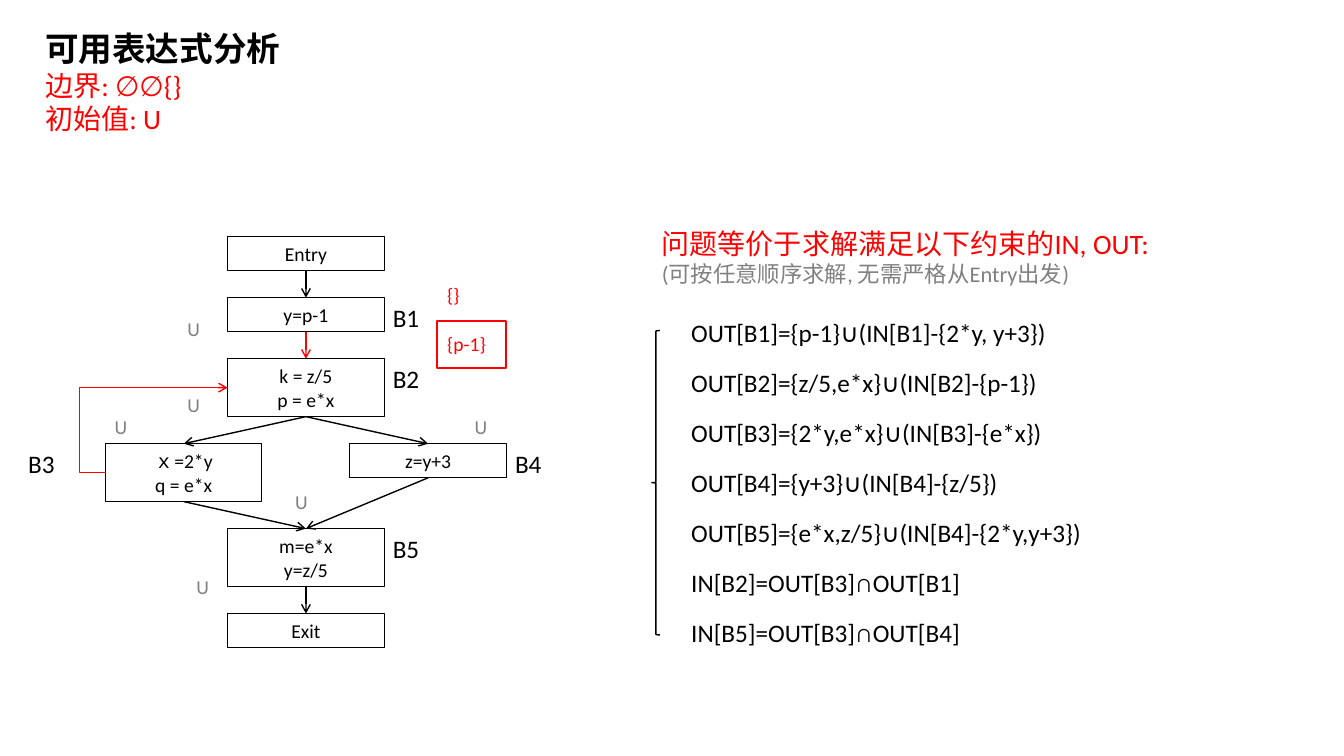
from dataclasses import dataclass

from lxml import etree
from pptx import Presentation
from pptx.dml.color import RGBColor
from pptx.enum.shapes import MSO_CONNECTOR, MSO_SHAPE
from pptx.enum.text import MSO_ANCHOR, MSO_AUTO_SIZE, PP_ALIGN
from pptx.oxml.ns import qn
from pptx.shapes.autoshape import Shape
from pptx.slide import Slide
from pptx.util import Cm, Pt

RECT, BRACE = MSO_SHAPE.RECTANGLE, MSO_SHAPE.LEFT_BRACE
STRAIGHT, ELBOW = MSO_CONNECTOR.STRAIGHT, MSO_CONNECTOR.ELBOW
LEFT, CENTER = PP_ALIGN.LEFT, PP_ALIGN.CENTER
MIDDLE, GROW = MSO_ANCHOR.MIDDLE, MSO_AUTO_SIZE.SHAPE_TO_FIT_TEXT
TOP_SIDE, LEFT_SIDE, LOW_SIDE = 0, 1, 2


@dataclass(frozen=True)
class Theme:
    font: str = "Calibri"
    black: RGBColor = RGBColor(0, 0, 0)
    red: RGBColor = RGBColor(255, 0, 0)
    gray: RGBColor = RGBColor(128, 128, 128)
    title: int = 24
    head: int = 20
    body: int = 18
    hint: int = 16
    code: int = 14


@dataclass(frozen=True)
class Block:
    name: str
    text: str
    row: int
    shift: int = 0  # -1 left branch, 0 trunk, 1 right branch
    label: str = ""


@dataclass(frozen=True)
class Edge:
    start: str
    end: str
    color: RGBColor


@dataclass(frozen=True)
class Note:
    text: str
    x: float
    y: float
    color: RGBColor
    width: float = 1.04


THEME = Theme()
TRUNK, BRANCH, WIDTH = 5.74, 3.08, 3.94
LOW, TALL, GAP, FIRST = 0.86, 1.46, 0.68, 5.96
ROWS = [LOW, LOW, TALL, TALL, TALL, LOW]

BLOCKS = [
    Block("Entry", "Entry", 0),
    Block("B1", "y=p-1", 1, label="B1"),
    Block("B2", "k = z/5\np = e*x", 2, label="B2"),
    Block("B3", "ｘ=2*y\nq = e*x", 3, -1, "B3"),
    Block("B4", "z=y+3", 3, 1, "B4"),
    Block("B5", "m=e*x\ny=z/5", 4, label="B5"),
    Block("Exit", "Exit", 5),
]
EDGES = [
    Edge("Entry", "B1", THEME.black),
    Edge("B1", "B2", THEME.red),
    Edge("B2", "B3", THEME.black),
    Edge("B2", "B4", THEME.black),
    Edge("B3", "B5", THEME.black),
    Edge("B4", "B5", THEME.black),
    Edge("B5", "Exit", THEME.black),
]
NOTES = [
    Note("{}", 11.02, 7.01, THEME.red),
    Note("{p-1}", 11.02, 8.23, THEME.red, 1.65),
    Note("U", 4.47, 7.87, THEME.gray),
    Note("U", 4.47, 9.78, THEME.gray),
    Note("U", 2.64, 10.34, THEME.gray),
    Note("U", 11.71, 10.34, THEME.gray),
    Note("U", 7.19, 12.22, THEME.gray),
    Note("U", 4.7, 14.35, THEME.gray),
]
RULES = [
    "OUT[B1]={p-1}∪(IN[B1]-{2*y, y+3})",
    "OUT[B2]={z/5,e*x}∪(IN[B2]-{p-1})",
    "OUT[B3]={2*y,e*x}∪(IN[B3]-{e*x})",
    "OUT[B4]={y+3}∪(IN[B4]-{z/5})",
    "OUT[B5]={e*x,z/5}∪(IN[B4]-{2*y,y+3})",
    "IN[B2]=OUT[B3]∩OUT[B1]",
    "IN[B5]=OUT[B3]∩OUT[B4]",
]


def write(shape: Shape, text: str, *, size: int, color: RGBColor,
          bold: bool = False, align: PP_ALIGN = LEFT, more: bool = False) -> None:
    """Write one paragraph per line; more=True adds below existing text."""
    frame = shape.text_frame
    frame.word_wrap = True
    frame.auto_size = GROW
    for i, line in enumerate(text.split("\n")):
        para = frame.add_paragraph() if more or i else frame.paragraphs[0]
        para.alignment = align
        run = para.add_run()
        run.text = line
        font = run.font
        font.name, font.size, font.bold = THEME.font, Pt(size), bold
        font.color.rgb = color


def add_text(slide: Slide, x: float, y: float, w: float, h: float) -> Shape:
    return slide.shapes.add_textbox(Cm(x), Cm(y), Cm(w), Cm(h))


def add_form(slide: Slide, kind: MSO_SHAPE, x: float, y: float, w: float,
             h: float, color: RGBColor, weight: float) -> Shape:
    form = slide.shapes.add_shape(kind, Cm(x), Cm(y), Cm(w), Cm(h))
    form.shadow.inherit = False
    form.fill.background()
    form.line.color.rgb = color
    form.line.width = Pt(weight)
    return form


def add_block(slide: Slide, block: Block) -> Shape:
    x = TRUNK + block.shift * BRANCH
    y = FIRST + sum(ROWS[:block.row]) + GAP * block.row
    high = TALL if "\n" in block.text else LOW
    box = add_form(slide, RECT, x, y, WIDTH, high, THEME.black, 0.75)
    box.text_frame.vertical_anchor = MIDDLE
    write(box, block.text, size=THEME.code, color=THEME.black, align=CENTER)
    if block.label:
        side = x - 2.2 if block.shift < 0 else x + WIDTH - 0.03
        tag = add_text(slide, side, y, 1.47, 1.02)
        write(tag, block.label, size=THEME.body, color=THEME.black)
    return box


def add_arrow(slide: Slide, start: Shape, end: Shape, color: RGBColor,
              loop: bool = False) -> None:
    """Join low side to top side, or left side to left side for a loop."""
    link = slide.shapes.add_connector(ELBOW if loop else STRAIGHT, 0, 0, 0, 0)
    link.begin_connect(start, LEFT_SIDE if loop else LOW_SIDE)
    link.end_connect(end, LEFT_SIDE if loop else TOP_SIDE)
    link.line.color.rgb = color
    link.line.width = Pt(1)
    props = link._element.spPr
    if loop:
        bends = props.find(qn("a:prstGeom")).get_or_add_avLst()
        etree.SubElement(bends, qn("a:gd"), name="adj1", fmla="val -21400")
    etree.SubElement(props.find(qn("a:ln")), qn("a:tailEnd"), type="arrow")
    etree.SubElement(props, qn("a:effectLst"))


def main() -> None:
    deck = Presentation()
    deck.slide_width, deck.slide_height = Cm(33.87), Cm(19.05)
    slide = deck.slides.add_slide(deck.slide_layouts[6])

    title = add_text(slide, 0.89, 0.58, 30.2, 3)
    write(title, "可用表达式分析", size=THEME.title, color=THEME.black, bold=True)
    write(title, "边界: ∅∅{}\n初始值: U", size=THEME.head, color=THEME.red, more=True)

    boxes = {block.name: add_block(slide, block) for block in BLOCKS}
    for edge in EDGES:
        add_arrow(slide, boxes[edge.start], boxes[edge.end], edge.color)
    add_arrow(slide, boxes["B3"], boxes["B2"], THEME.red, loop=True)

    for note in NOTES:
        box = add_text(slide, note.x, note.y, note.width, LOW)
        write(box, note.text, size=THEME.code, color=note.color)
    add_form(slide, RECT, 11.02, 8.08, 1.73, 1.2, THEME.red, 1.5)

    head = add_text(slide, 16.43, 5.59, 14.1, 1.8)
    write(head, "问题等价于求解满足以下约束的IN, OUT:", size=THEME.head, color=THEME.red)
    write(head, "(可按任意顺序求解, 无需严格从Entry出发)", size=THEME.hint,
          color=THEME.gray, more=True)
    add_form(slide, BRACE, 16.43, 8.33, 0.2, 7.67, THEME.black, 1)
    for i, rule in enumerate(RULES):
        line = add_text(slide, 17.17, 7.87 + 1.26 * i, 11.28, 1.02)
        write(line, rule, size=THEME.body, color=THEME.black)

    deck.save("out.pptx")


if __name__ == "__main__":
    main()
